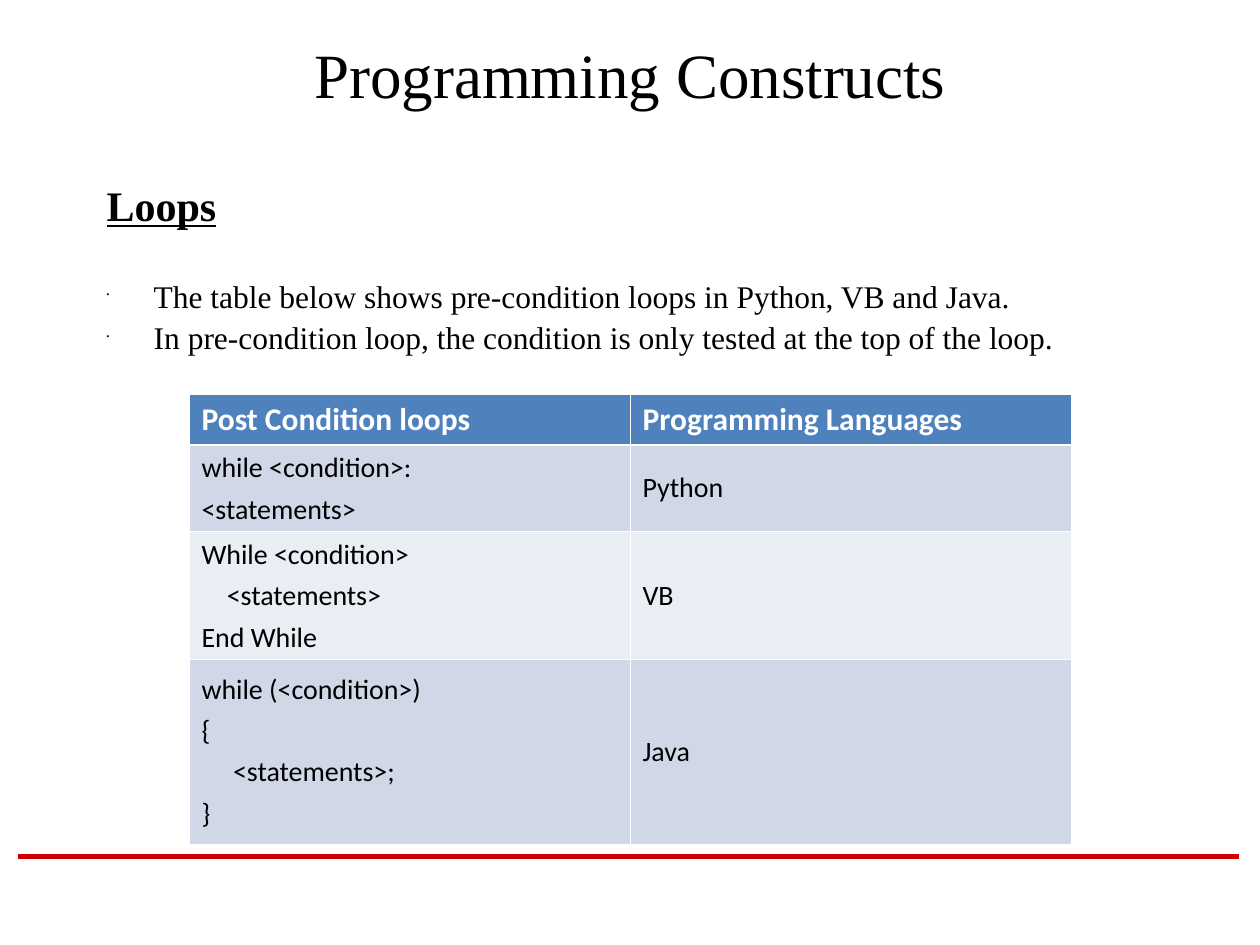
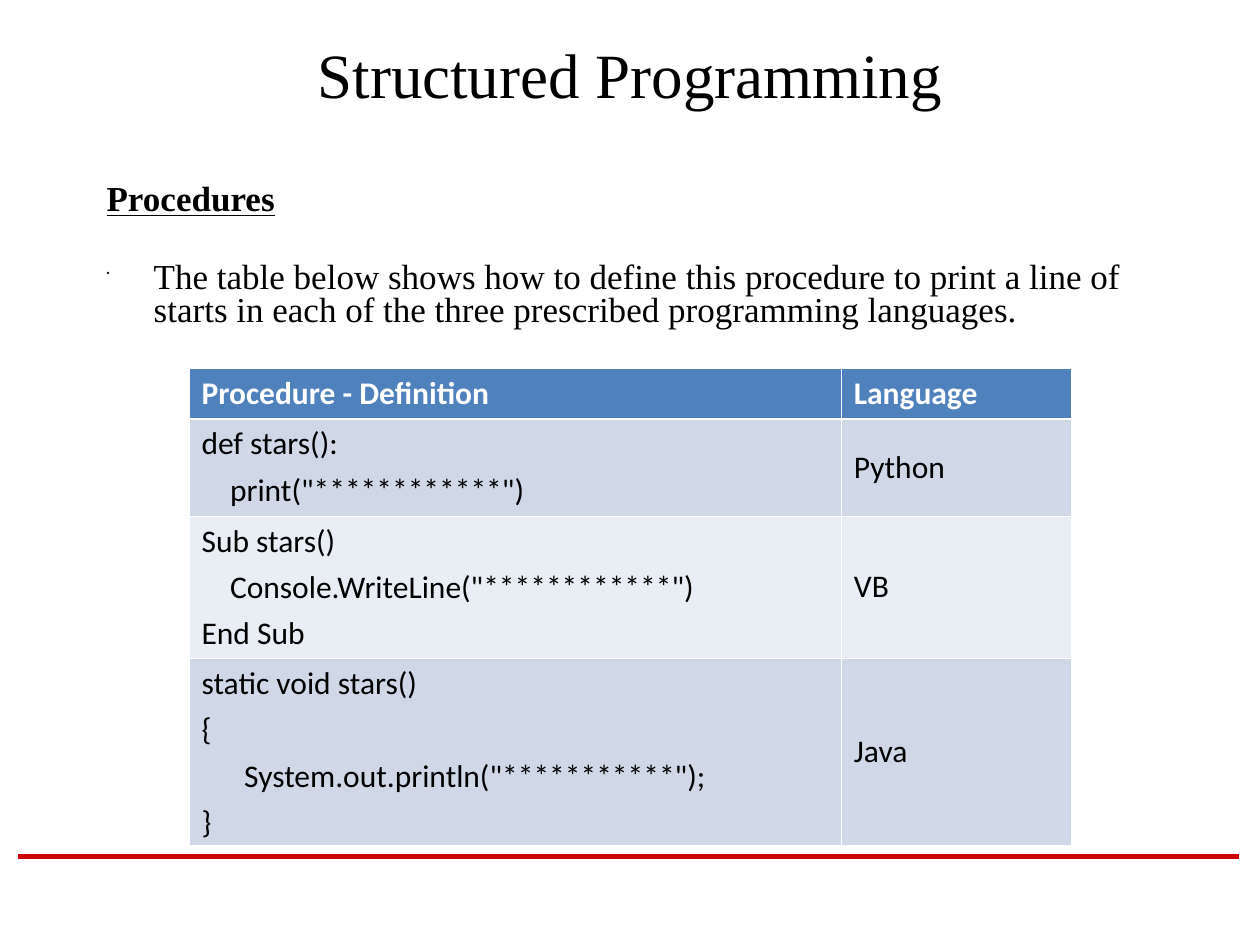
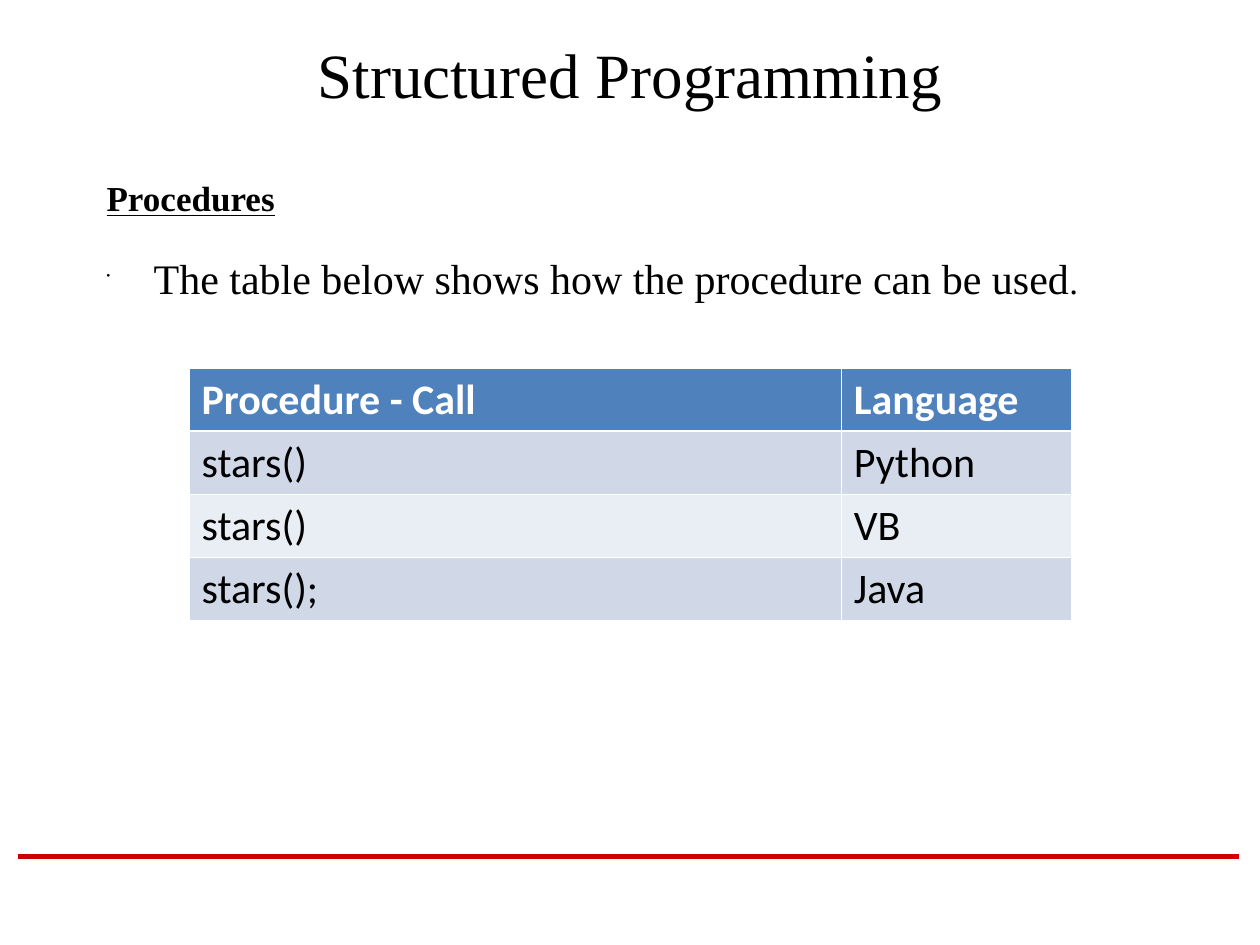
"""Build three slides on loops and procedures with code tables."""
from lxml.etree import SubElement
from pptx import Presentation
from pptx.dml.color import RGBColor
from pptx.enum.shapes import MSO_CONNECTOR as Connector
from pptx.enum.text import MSO_ANCHOR as Anchor, PP_ALIGN as Align
from pptx.oxml import parse_xml
from pptx.oxml.ns import nsdecls, qn
from pptx.util import Cm, Pt

BLACK = RGBColor(0x00, 0x00, 0x00)
WHITE = RGBColor(0xFF, 0xFF, 0xFF)
RED = RGBColor(0xCC, 0x00, 0x00)
HEADER_BLUE = RGBColor(0x4F, 0x81, 0xBD)
DARK_BAND = RGBColor(0xD0, 0xD8, 0xE8)
LIGHT_BAND = RGBColor(0xE9, 0xED, 0xF4)

TEXT_FONT = "Times New Roman"
TABLE_FONT = "Calibri"
TITLE_ONLY = 5
TEXT_LEFT, TEXT_WIDTH = Cm(1.9), Cm(21.6)
INDENT = Cm(0.95)
THIN, THICK = Pt(0.45), Pt(1.47)


def style_font(font, name, size, color, bold=False):
    """Set the face, size, colour and weight of a font."""
    font.name = name
    font.size = Pt(size)
    font.color.rgb = color
    font.bold = bold


def add_footer_line(page):
    """Draw the red line at the foot of a slide."""
    line = page.shapes.add_connector(
        Connector.STRAIGHT, Cm(0.36), Cm(17.27), Cm(24.97), Cm(17.27))
    line.line.color.rgb = RED
    line.line.width = Pt(3)
    SubElement(line._element.spPr, qn("a:effectLst"))


def add_page(deck, title):
    """Add a slide with its title and footer line."""
    page = deck.slides.add_slide(deck.slide_layouts[TITLE_ONLY])
    box = page.shapes.title
    box.left, box.top, box.width, box.height = (
        TEXT_LEFT, Cm(0.43), TEXT_WIDTH, Cm(2.11))
    frame = box.text_frame
    frame.text = title
    frame.vertical_anchor = Anchor.MIDDLE
    frame.paragraphs[0].alignment = Align.CENTER
    style_font(frame.paragraphs[0].runs[0].font, TEXT_FONT, 36, BLACK)
    add_footer_line(page)
    return page


def add_bullet(para):
    """Give a paragraph a hanging indent and a small round bullet."""
    properties = para._p.get_or_add_pPr()
    properties.set("marL", str(INDENT))
    properties.set("indent", str(-INDENT))
    color = SubElement(properties, qn("a:buClr"))
    SubElement(color, qn("a:srgbClr"), val=str(BLACK))
    SubElement(properties, qn("a:buSzPct"), val="25000")
    SubElement(properties, qn("a:buChar"), char="•")


def add_body(page, heading, heading_size, bullets, line_spacing, gap, bullet_gap=0):
    """Add an underlined heading and bullets, each a list of (text, size)."""
    box = page.shapes.add_textbox(TEXT_LEFT, Cm(3.6), TEXT_WIDTH, Cm(11.43))
    frame = box.text_frame
    frame.word_wrap = True
    frame.text = heading
    para = frame.paragraphs[0]
    para.line_spacing = line_spacing
    font = para.runs[0].font
    style_font(font, TEXT_FONT, heading_size, BLACK, bold=True)
    font.underline = True
    for index, spans in enumerate(bullets):
        para = frame.add_paragraph()
        add_bullet(para)
        para.line_spacing = line_spacing
        para.space_before = Pt(bullet_gap if index else gap)
        for text, size in spans:
            span = para.add_run()
            span.text = text
            style_font(span.font, TEXT_FONT, size, BLACK)


def set_borders(cell, top, bottom):
    """Draw white borders around a table cell."""
    properties = cell._tc.get_or_add_tcPr()
    widths = {"lnL": THIN, "lnR": THIN, "lnT": top, "lnB": bottom}
    for position, (side, width) in enumerate(widths.items()):
        properties.insert(position, parse_xml(
            f'<a:{side} {nsdecls("a")} w="{width}"><a:solidFill>'
            f'<a:srgbClr val="{WHITE}"/></a:solidFill></a:{side}>'))


def fill_cell(cell, text, row, size):
    """Write and format one cell according to its row."""
    header = row == 0
    cell.text_frame.text = text
    cell.vertical_anchor = Anchor.MIDDLE
    cell.fill.solid()
    cell.fill.fore_color.rgb = (
        HEADER_BLUE if header else DARK_BAND if row % 2 else LIGHT_BAND)
    set_borders(cell, THICK if row == 1 else THIN, THICK if header else THIN)
    for index, para in enumerate(cell.text_frame.paragraphs):
        if index:
            para.space_before = Pt(size / 4)
        style_font(para.runs[0].font, TABLE_FONT, size,
                   WHITE if header else BLACK, bold=header)


def add_code_table(page, top, widths, heights, rows, header_size, code_size):
    """Add a table of code and the language it is written in."""
    frame = page.shapes.add_table(
        len(rows), len(widths), Cm(3.81), Cm(top), Cm(sum(widths)), Cm(sum(heights)))
    table = frame.table
    for column, width in zip(table.columns, widths):
        column.width = Cm(width)
    for index, (height, texts) in enumerate(zip(heights, rows)):
        table.rows[index].height = Cm(height)
        for column, text in enumerate(texts):
            fill_cell(table.cell(index, column), text, index,
                      code_size if index else header_size)


def add_loops_page(deck):
    """Add the slide on pre-condition loops."""
    page = add_page(deck, "Programming Constructs")
    add_body(page, "Loops", 24, [
        [("The table below shows pre-condition loops in Python, VB and Java.", 18)],
        [("In pre-condition loop, the condition is only tested at the top of the loop.", 18)],
    ], line_spacing=0.9, gap=29, bullet_gap=4.5)
    add_code_table(page, 7.95, [8.89, 8.89], [1.02, 1.75, 2.57, 3.73], [
        ("Post Condition loops", "Programming Languages"),
        ("while <condition>:\n<statements>", "Python"),
        ("While <condition>\n    <statements>\nEnd While", "VB"),
        ("while (<condition>)\n{\n     <statements>;\n}", "Java"),
    ], header_size=18, code_size=16)


def add_procedures_page(deck, spans, heights, rows, size):
    """Add a slide on procedures with one bullet and a table."""
    page = add_page(deck, "Structured Programming")
    add_body(page, "Procedures", 20, [spans], line_spacing=0.8, gap=25)
    add_code_table(page, 7.42, [13.15, 4.63], heights, rows, size, size)


def main():
    """Build and save the deck."""
    deck = Presentation()
    deck.slide_width, deck.slide_height = Cm(25.4), Cm(19.05)
    add_loops_page(deck)
    add_procedures_page(deck, [
        ("The table below shows how to define this procedure to print a line of "
         "starts in each of the three prescribed programming languages.", 20),
    ], [1.02, 1.96, 2.87, 3.78], [
        ("Procedure - Definition", "Language"),
        ('def stars():\n    print("************")', "Python"),
        ('Sub stars()\n    Console.WriteLine("************")\nEnd Sub', "VB"),
        ('static void stars()\n{\n      System.out.println("***********");\n}', "Java"),
    ], size=18)
    add_procedures_page(deck, [
        ("The table below shows how the procedure can be used", 24), (".", 20),
    ], [1.27] * 4, [
        ("Procedure - Call", "Language"),
        ("stars()", "Python"),
        ("stars()", "VB"),
        ("stars();", "Java"),
    ], size=24)
    deck.save("out.pptx")


if __name__ == "__main__":
    main()
